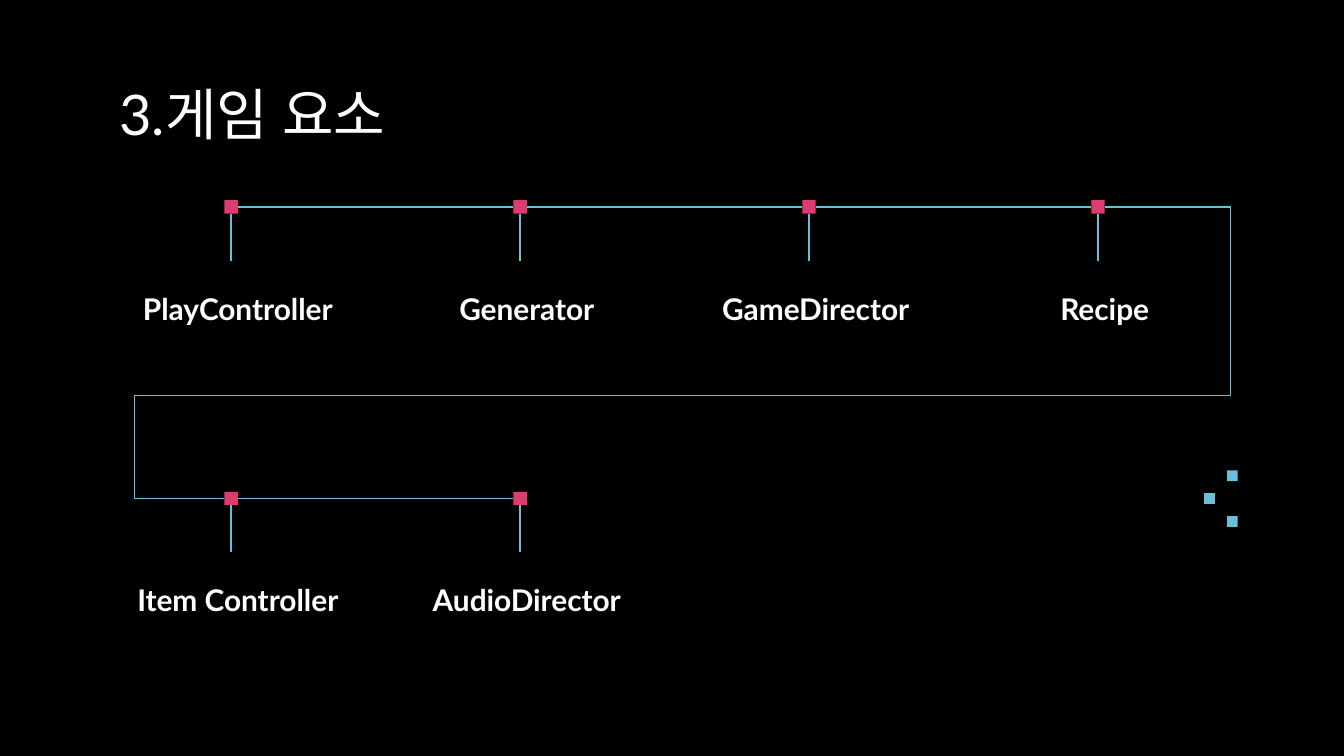
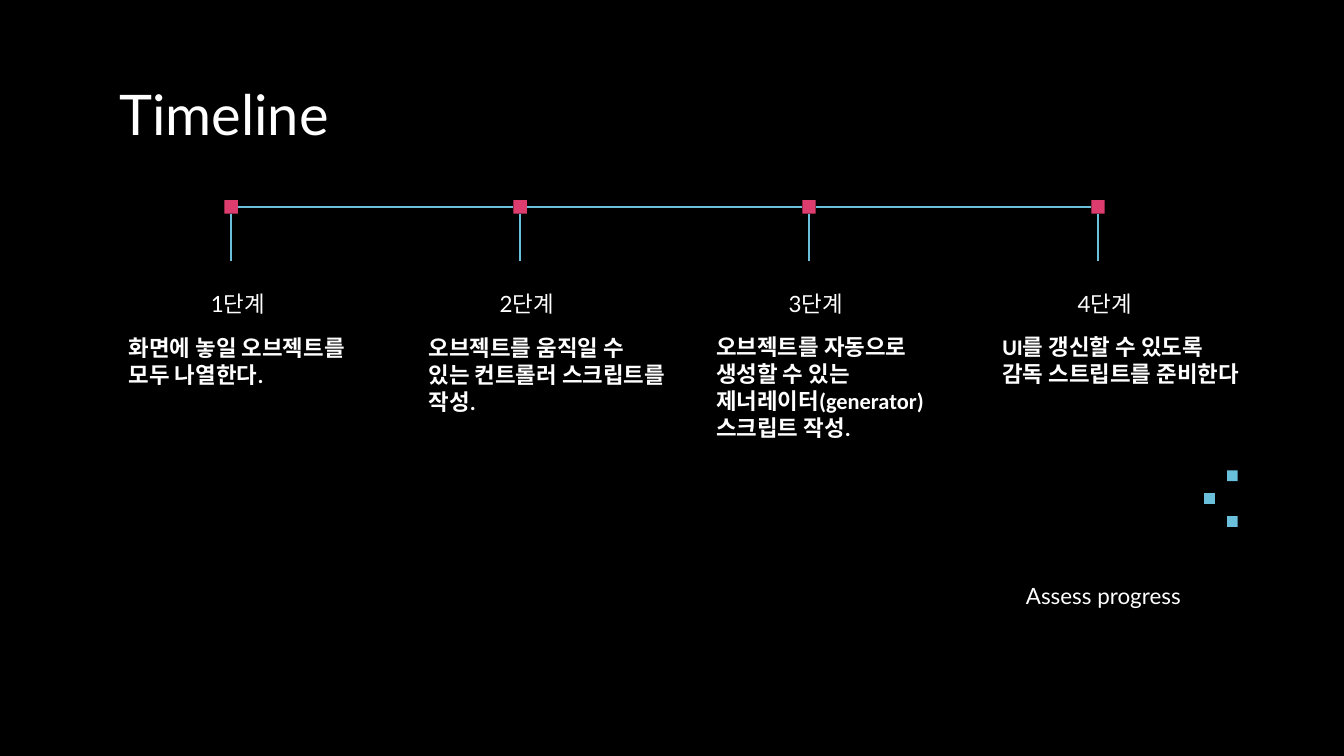
from lxml import etree
from pptx import Presentation
from pptx.dml.color import RGBColor
from pptx.enum.shapes import MSO_CONNECTOR, MSO_SHAPE
from pptx.enum.text import MSO_ANCHOR, PP_ALIGN
from pptx.oxml.ns import qn
from pptx.util import Inches, Pt

RECT = MSO_SHAPE.RECTANGLE
LINE = MSO_CONNECTOR.STRAIGHT
ELBOW = MSO_CONNECTOR.ELBOW
TOP = MSO_ANCHOR.TOP
LEFT = PP_ALIGN.LEFT
CENTER = PP_ALIGN.CENTER

BLACK = "000000"
WHITE = "FFFFFF"
PINK = "DD3D6E"
BLUE = "6ABFDA"

STEP = 2.15
NODE = 0.1
STEM = 0.35
LABEL_W, LABEL_H = 1.98, 0.67
ROW_X = 1.67
TOP_Y, LOW_Y = 1.49, 3.66


def color(code):
    return RGBColor.from_string(code)


def add_text(slide, text, box, size=12, font="Lato", bold=False, align=LEFT):
    shape = slide.shapes.add_textbox(*map(Inches, box))
    frame = shape.text_frame
    frame.word_wrap = True
    frame.vertical_anchor = TOP
    frame.margin_left = frame.margin_right = Inches(0.1)
    frame.margin_top = frame.margin_bottom = Inches(0.1)
    para = frame.paragraphs[0]
    para.alignment = align
    run = para.add_run()
    run.text = text
    run.font.size = Pt(size)
    run.font.bold = bold
    run.font.color.rgb = color(WHITE)
    run.font.name = font
    east = etree.SubElement(run._r.get_or_add_rPr(), qn("a:ea"))
    east.set("typeface", font)


def add_square(shapes, x, y, side, fill):
    shape = shapes.add_shape(RECT, *map(Inches, (x, y, side, side)))
    shape.shadow.inherit = False
    shape.fill.solid()
    shape.fill.fore_color.rgb = color(fill)
    shape.line.fill.background()


def add_line(slide, start, end, kind=LINE):
    line = slide.shapes.add_connector(kind, *map(Inches, (*start, *end)))
    line.line.color.rgb = color(BLUE)
    line.line.width = Pt(0.75)
    etree.SubElement(line._element.spPr, qn("a:effectLst"))
    return line


def add_bend(slide, start, end, ratios):
    line = add_line(slide, start, end, ELBOW)
    geom = line._element.spPr.find(qn("a:prstGeom"))
    geom.set("prst", "bentConnector5")
    guides = geom.find(qn("a:avLst"))
    if guides is None:
        guides = etree.SubElement(geom, qn("a:avLst"))
    for num, ratio in enumerate(ratios, 1):
        guide = etree.SubElement(guides, qn("a:gd"))
        guide.set("name", f"adj{num}")
        guide.set("fmla", f"val {round(ratio * 100000)}")


def add_row(slide, x, y, labels, size, bold):
    half = NODE / 2
    for idx, label in enumerate(labels):
        left = x + idx * STEP
        mid = left + half
        add_square(slide.shapes, left, y, NODE, PINK)
        if idx:
            add_line(slide, (left - STEP + NODE, y + half), (left, y + half))
        add_line(slide, (mid, y + NODE), (mid, y + NODE + STEM))
        box = (mid - LABEL_W / 2 + 0.05, y + 0.57, LABEL_W, LABEL_H)
        add_text(slide, label, box, size=size, bold=bold, align=CENTER)


def add_mark(slide, x, y):
    group = slide.shapes.add_group_shape()
    for dx, dy in ((0.17, 0), (0, 0.17), (0.17, 0.34)):
        add_square(group.shapes, x + dx, y + dy, 0.08, BLUE)


def add_page(deck, title):
    slide = deck.slides.add_slide(deck.slide_layouts[6])
    slide.background.fill.solid()
    slide.background.fill.fore_color.rgb = color(BLACK)
    add_text(slide, title, (0.79, 0.49, 8.43, 0.63), size=30)
    add_mark(slide, 8.96, 3.5)
    return slide


def build_parts(deck):
    slide = add_page(deck, "3.게임 요소")
    names = ("PlayController", "Generator", "GameDirector", "Recipe")
    add_row(slide, ROW_X, TOP_Y, names, 16, True)
    add_row(slide, ROW_X, LOW_Y, ("Item Controller", "AudioDirector"), 16, True)
    start = (ROW_X + 3 * STEP + NODE, TOP_Y + NODE / 2)
    end = (ROW_X, LOW_Y + NODE / 2)
    add_bend(slide, start, end, (-0.143, 0.647, 1.102))


def build_steps(deck):
    slide = add_page(deck, "Timeline")
    steps = [f"{num}단계" for num in range(1, 5)]
    add_row(slide, ROW_X, TOP_Y, steps, 12, False)
    notes = (
        (0.86, 2.39, "화면에 놓일 오브젝트를 모두 나열한다."),
        (3.09, 2.39, "오브젝트를 움직일 수 있는 컨트롤러 스크립트를 작성."),
        (5.23, 2.38, "오브젝트를 자동으로 생성할 수 있는 제너레이터(generator) 스크립트 작성."),
        (7.36, 2.38, "UI를 갱신할 수 있도록 감독 스트립트를 준비한다"),
    )
    for x, y, note in notes:
        add_text(slide, note, (x, y, LABEL_W, LABEL_H), font="Calibri", bold=True)
    add_text(slide, "Assess progress", (7.22, 4.23, LABEL_W, LABEL_H), align=CENTER)


def main():
    deck = Presentation()
    deck.slide_width = Inches(10)
    deck.slide_height = deck.slide_width * 9 // 16
    build_parts(deck)
    build_steps(deck)
    deck.save("out.pptx")


if __name__ == "__main__":
    main()
